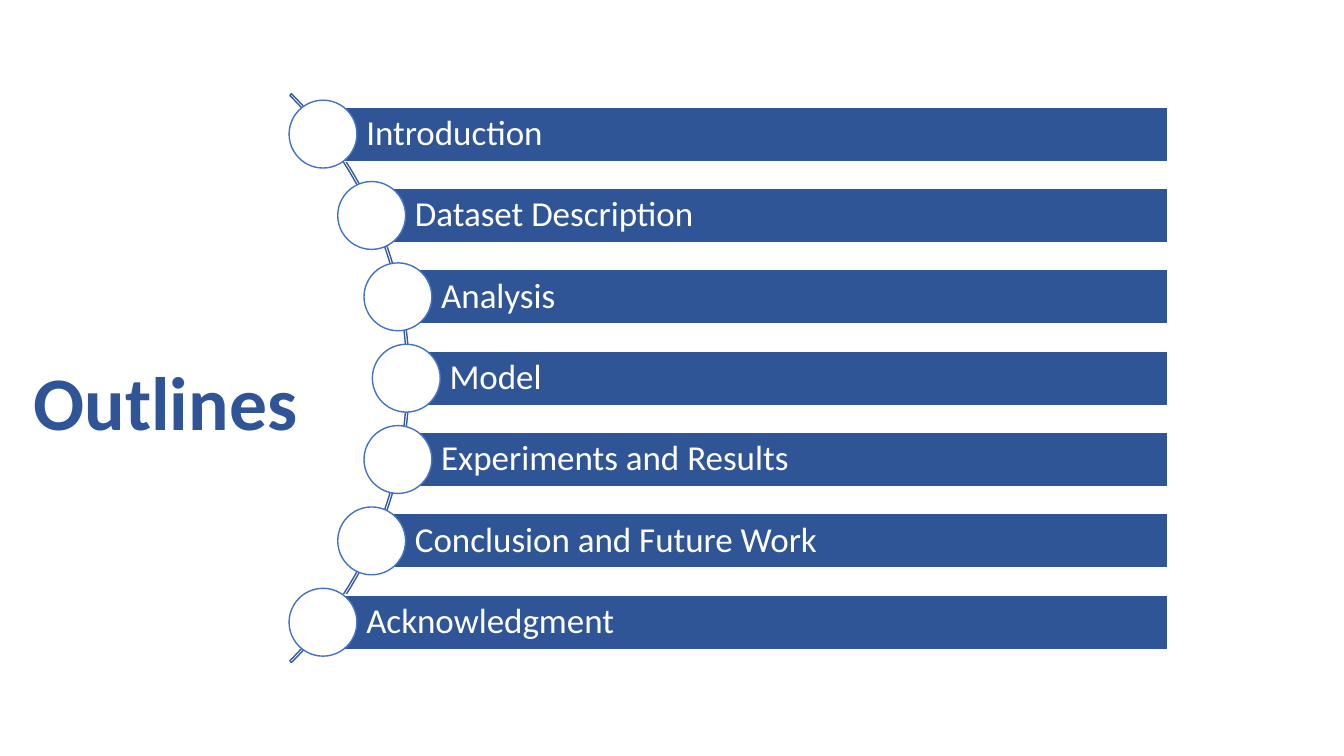
"""Build the outline slide: seven agenda bars strung along a curved arc."""
import math
from dataclasses import dataclass

import pptx
import pptx.dml.color
import pptx.enum.shapes
import pptx.enum.text
import pptx.util

Cm = pptx.util.Cm
Pt = pptx.util.Pt
Shape = pptx.enum.shapes.MSO_SHAPE

NAVY = "2F5597"
WHITE = "FFFFFF"
FONT = "Calibri"
ARC_X, ARC_Y = 0.18, 9.53
ARC_DIAMETER = 20.27
NODE_ORBIT = 10.06
TOPIC_STEP = 2.05
BAR_RIGHT, BAR_HEIGHT = 29.42, 1.37
NODE_DIAMETER = 1.71


@dataclass(frozen=True)
class Topic:
    """An agenda entry and the centre of its node, in centimetres."""
    label: str
    x: float
    y: float


def color(value: str) -> pptx.dml.color.RGBColor:
    """Turn a hex string into a colour."""
    return pptx.dml.color.RGBColor.from_string(value)


def add_outlined(slide, kind, left: float, top: float, width: float, height: float,
                 outline: str, fill: str | None = None):
    """Add a preset shape with a one-point outline and an optional fill."""
    shape = slide.shapes.add_shape(kind, Cm(left), Cm(top), Cm(width), Cm(height))
    shape.shadow.inherit = False
    if fill:
        shape.fill.solid()
        shape.fill.fore_color.rgb = color(fill)
    else:
        shape.fill.background()
    shape.line.color.rgb = color(outline)
    shape.line.width = Pt(1)
    return shape


def add_run(paragraph, wording: str, size: float, ink: str, bold: bool = False) -> None:
    """Append a styled run to a paragraph."""
    run = paragraph.add_run()
    run.text = wording
    run.font.name = FONT
    run.font.size = Pt(size)
    run.font.bold = bold
    run.font.color.rgb = color(ink)


def draw_topic(slide, topic: Topic) -> None:
    """Draw the bar of a topic and the round node at its left end."""
    bar = add_outlined(slide, Shape.RECTANGLE, topic.x, topic.y - BAR_HEIGHT / 2,
                       BAR_RIGHT - topic.x, BAR_HEIGHT, WHITE, NAVY)
    frame = bar.text_frame
    frame.word_wrap = True
    frame.vertical_anchor = pptx.enum.text.MSO_ANCHOR.MIDDLE
    frame.margin_left = Cm(1.09)
    frame.margin_right = frame.margin_top = frame.margin_bottom = Cm(0.18)
    paragraph = frame.paragraphs[0]
    paragraph.alignment = pptx.enum.text.PP_ALIGN.LEFT
    paragraph.line_spacing = 0.9
    add_run(paragraph, topic.label, 25, WHITE)
    radius = NODE_DIAMETER / 2
    add_outlined(slide, Shape.OVAL, topic.x - radius, topic.y - radius,
                 NODE_DIAMETER, NODE_DIAMETER, "4472C4", WHITE)


def place_topics(labels: list[str]) -> list[Topic]:
    """Space the labels evenly downwards with their nodes on the arc."""
    topics = []
    for index, label in enumerate(labels):
        offset = (index - (len(labels) - 1) / 2) * TOPIC_STEP
        reach = math.sqrt(NODE_ORBIT ** 2 - offset ** 2)
        topics.append(Topic(label, ARC_X + reach, ARC_Y + offset))
    return topics


def main() -> None:
    """Build and save the slide."""
    deck = pptx.Presentation()
    deck.slide_width, deck.slide_height = Cm(33.87), Cm(19.05)
    slide = deck.slides.add_slide(deck.slide_layouts[6])

    arc = add_outlined(slide, Shape.BLOCK_ARC, ARC_X - ARC_DIAMETER / 2,
                       ARC_Y - ARC_DIAMETER / 2, ARC_DIAMETER, ARC_DIAMETER, "365B9D")
    for index, adjustment in enumerate((189, 27, 0.003)):
        arc.adjustments[index] = adjustment

    for topic in place_topics(["Introduction", "Dataset Description", "Analysis", "Model",
                               "Experiments and Results", "Conclusion and Future Work",
                               "Acknowledgment"]):
        draw_topic(slide, topic)

    heading = slide.shapes.add_textbox(Cm(0.6), Cm(8.82), Cm(7.2), Cm(2.56)).text_frame
    heading.word_wrap = False
    heading.auto_size = pptx.enum.text.MSO_AUTO_SIZE.SHAPE_TO_FIT_TEXT
    add_run(heading.paragraphs[0], "Outlines", 54, NAVY, bold=True)

    deck.save("out.pptx")


if __name__ == "__main__":
    main()
